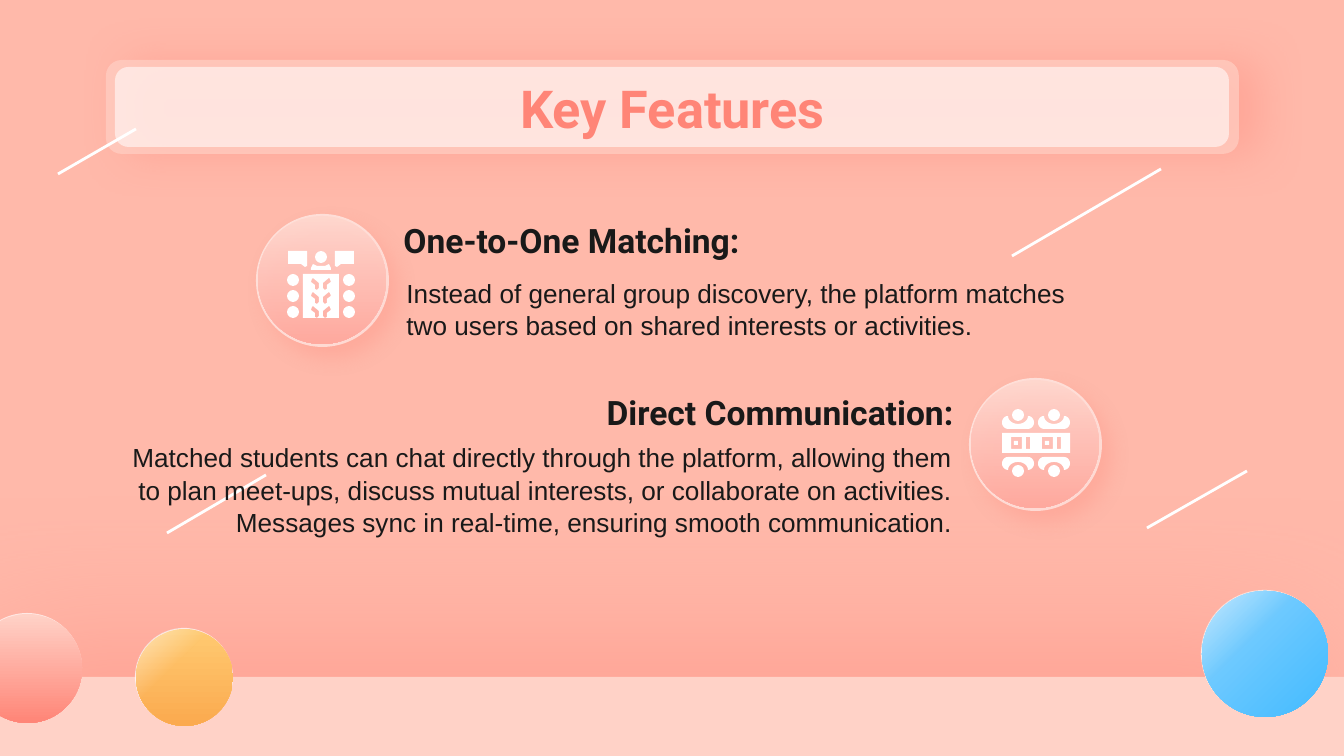
import math
import lxml.etree
import pptx
import pptx.dml.color
import pptx.enum.shapes
import pptx.enum.text
import pptx.oxml
import pptx.oxml.ns
import pptx.util

PX = 914400 / 134.4
COLORS = {
    "background": "FFB9AA", "blush": "FFD2C7", "coral": "FF8577",
    "white": "FFFFFF", "ink": "191919", "yellow": "FFCA71",
    "orange": "FBAA4F", "sky": "88D2FF", "blue": "43BBFF",
}
SHAPES = pptx.enum.shapes.MSO_SHAPE
ALIGN = pptx.enum.text.PP_ALIGN
ANCHOR = pptx.enum.text.MSO_ANCHOR
NAMESPACE = pptx.oxml.ns.nsdecls("a")


def write(holder, text, box, size, font="Arial", color="ink", bold=False,
          align=ALIGN.LEFT, anchor=ANCHOR.TOP, spacing=1.0):
    holder.left, holder.top, holder.width, holder.height = [round(v * PX) for v in box]
    frame = holder.text_frame
    frame.text = text
    frame.word_wrap = True
    frame.auto_size = pptx.enum.text.MSO_AUTO_SIZE.NONE
    frame.vertical_anchor = anchor
    frame.margin_left = frame.margin_right = pptx.util.Inches(0.1)
    frame.margin_top = frame.margin_bottom = pptx.util.Inches(0.1)
    for para in frame.paragraphs:
        properties = para._p.get_or_add_pPr()
        properties.set("marL", "0")
        properties.set("indent", "0")
        lxml.etree.SubElement(properties, pptx.oxml.ns.qn("a:buNone"))
        para.alignment = align
        para.space_before = pptx.util.Pt(0)
        para.line_spacing = spacing
        for span in para.runs:
            span.font.name = font
            span.font.size = pptx.util.Pt(size)
            span.font.bold = bold
            span.font.color.rgb = pptx.dml.color.RGBColor.from_string(COLORS[color])


def draw(form, stops, box=None, angle=90, shadow=None):
    if box:
        shape = page.shapes.add_shape(form, *[round(v * PX) for v in box])
    else:
        outlines = [[(x * PX, y * PX) for x, y in outline] for outline in form]
        builder = page.shapes.build_freeform(*outlines[0][0])
        builder.add_line_segments(outlines[0][1:])
        for outline in outlines[1:]:
            builder.move_to(*outline[0])
            builder.add_line_segments(outline[1:])
        shape = builder.convert_to_shape()
    paints = [f'<a:srgbClr val="{COLORS[color]}"><a:alpha val="{alpha * 1000}"/></a:srgbClr>'
              for place, color, alpha in stops]
    if len(stops) == 1:
        fill = f'<a:solidFill {NAMESPACE}>{paints[0]}</a:solidFill>'
    else:
        marks = "".join(f'<a:gs pos="{stop[0] * 1000}">{paint}</a:gs>'
                        for stop, paint in zip(stops, paints))
        fill = (f'<a:gradFill {NAMESPACE}><a:gsLst>{marks}</a:gsLst>'
                f'<a:lin ang="{angle * 60000}" scaled="0"/></a:gradFill>')
    effect = ""
    if shadow:
        alpha, blur, distance, direction = shadow
        effect = (f'<a:outerShdw blurRad="{round(blur * 12700)}" dist="{round(distance * 12700)}" '
                  f'dir="{direction * 60000}" algn="ctr" rotWithShape="0">'
                  f'<a:srgbClr val="{COLORS["coral"]}"><a:alpha val="{alpha * 1000}"/></a:srgbClr>'
                  '</a:outerShdw>')
    for part in (fill, f'<a:ln {NAMESPACE}><a:noFill/></a:ln>',
                 f'<a:effectLst {NAMESPACE}>{effect}</a:effectLst>'):
        shape._element.spPr.append(pptx.oxml.parse_xml(part))


deck = pptx.Presentation()
deck.slide_width, deck.slide_height = round(1344 * PX), round(756 * PX)
page = deck.slides.add_slide(deck.slide_layouts[4])
page.background.fill.solid()
page.background.fill.fore_color.rgb = pptx.dml.color.RGBColor.from_string(COLORS["background"])
holders = list(page.placeholders)
solid = [(0, "white", 100)]

draw(SHAPES.RECTANGLE, [(0, "blush", 100)], (0, 677, 1344, 160), shadow=(50, 83.2, 22.5, 226))
draw(SHAPES.ROUNDED_RECTANGLE, [(0, "blush", 64)], (106, 60, 1133, 94), shadow=(56, 23.6, 10.5, 0))
draw(SHAPES.ROUNDED_RECTANGLE, [(0, "white", 56)], (115, 67, 1114, 80))

for left, top in ((256, 214), (969, 378)):
    draw(SHAPES.OVAL, [(0, "white", 56)], (left, top, 133, 133), shadow=(50, 11.2, 7.5, 50))
    draw(SHAPES.OVAL, [(0, "blush", 56), (100, "coral", 56)], (left + 2, top + 2, 128, 128))

shine = [(0, "white", 51), (39, "white", 0), (100, "white", 0)]
for left, top, size, light, dark, angle, shiny in (
        (-28, 613, 110, "blush", "coral", 90, False),
        (135, 628, 98, "yellow", "orange", 90, True),
        (1201, 590, 127, "sky", "blue", 45, True)):
    inner = (left + 1, top + 1, size - 1, size - 1)
    draw(SHAPES.OVAL, [(0, "white", 71)], (left, top, size, size))
    draw(SHAPES.OVAL, [(0, light, 100), (100, dark, 100)], inner, angle)
    if shiny:
        draw(SHAPES.OVAL, shine, inner, 45)

middle = 321
table = [[(303, 274), (339, 274), (339, 318), (303, 318), (303, 274)]]
leaf = [(8, 0), (2, 5), (2, 10), (4, 12), (6, 11), (6, 7), (10, 4), (9, 1), (8, 0)]
bubble = [(33, 251), (14, 251), (14, 266), (16, 267), (20, 264), (33, 264), (33, 251)]
heads = [(middle, 257)]
for side in (-1, 1):
    draw([[(middle + side * x, y) for x, y in bubble]], solid)
    for row in range(3):
        heads.append((middle + side * 28, 280 + 16 * row))
        table.append([(middle + side * x, 278 + 14 * row + y) for x, y in leaf])
draw(table, solid)
shoulders = [(-10, 270), (-10, 268), (-8, 264), (-4, 266), (4, 266), (8, 264), (10, 268), (10, 270), (-10, 270)]
draw([[(middle + x, y) for x, y in shoulders]], solid)

desk = [(1002, 433, 68, 20)]
for left in (1011, 1042):
    desk += [(left, 437, 11, 12), (left + 3, 441, 4, 4), (left + 15, 437, 4, 12)]
draw([[(x, y), (x + w, y), (x + w, y + h), (x, y + h), (x, y)] for x, y, w, h in desk], solid)
for center in (1018, 1054):
    for side in (1, -1):
        edge = 443 - 27 * side
        seat = []
        for offset, wide, high, depth, start, stop in (
                (0, 10, 8, 0, 180, 0), (10, 6, 6.5, 6.5, -90, 90), (-10, 6, 6.5, 6.5, 90, 270)):
            for step in range(13):
                turn = math.radians(start + (stop - start) * step / 12)
                seat.append((center + offset + wide * math.cos(turn),
                             edge + side * (depth + high * math.sin(turn))))
        draw([seat + seat[:1]], solid)
        heads.append((center, 443 - 28 * side))
for x, y in heads:
    draw(SHAPES.OVAL, solid, (x - 6, y - 6, 12, 12))

for ends in ((1161, 169, 1012, 256), (1247, 471, 1147, 528),
             (136, 129, 58, 174), (266, 475, 167, 533)):
    line = page.shapes.add_connector(pptx.enum.shapes.MSO_CONNECTOR.STRAIGHT, *[round(v * PX) for v in ends])
    line.line.color.rgb = pptx.dml.color.RGBColor.from_string(COLORS["white"])
    line.line.width = pptx.util.Pt(1.5)
    lxml.etree.SubElement(line._element.spPr, pptx.oxml.ns.qn("a:effectLst"))

for holder in holders:
    page.shapes._spTree.append(holder._element)
title, match_title, match_body, chat_title, chat_body = holders
heading = {"size": 18, "font": "Roboto", "bold": True, "anchor": ANCHOR.MIDDLE}
body = {"size": 14, "spacing": 1.05}
write(title, "Key Features", (106, 63, 1133, 70), 28, font="Roboto", color="coral",
      bold=True, align=ALIGN.CENTER)
write(match_title, "One-to-One Matching:", (390, 215, 700, 50), **heading)
write(match_body, "Instead of general group discovery, the platform matches two users "
      "based on shared interests or activities.", (393, 262, 700, 97), **body)
write(chat_title, "Direct Communication:", (200, 387, 767, 50), align=ALIGN.RIGHT, **heading)
write(chat_body, "Matched students can chat directly through the platform, allowing them "
      "to plan meet-ups, discuss mutual interests, or collaborate on activities.\n"
      "Messages sync in real-time, ensuring smooth communication.",
      (114, 426, 852, 97), align=ALIGN.RIGHT, **body)

deck.save("out.pptx")
